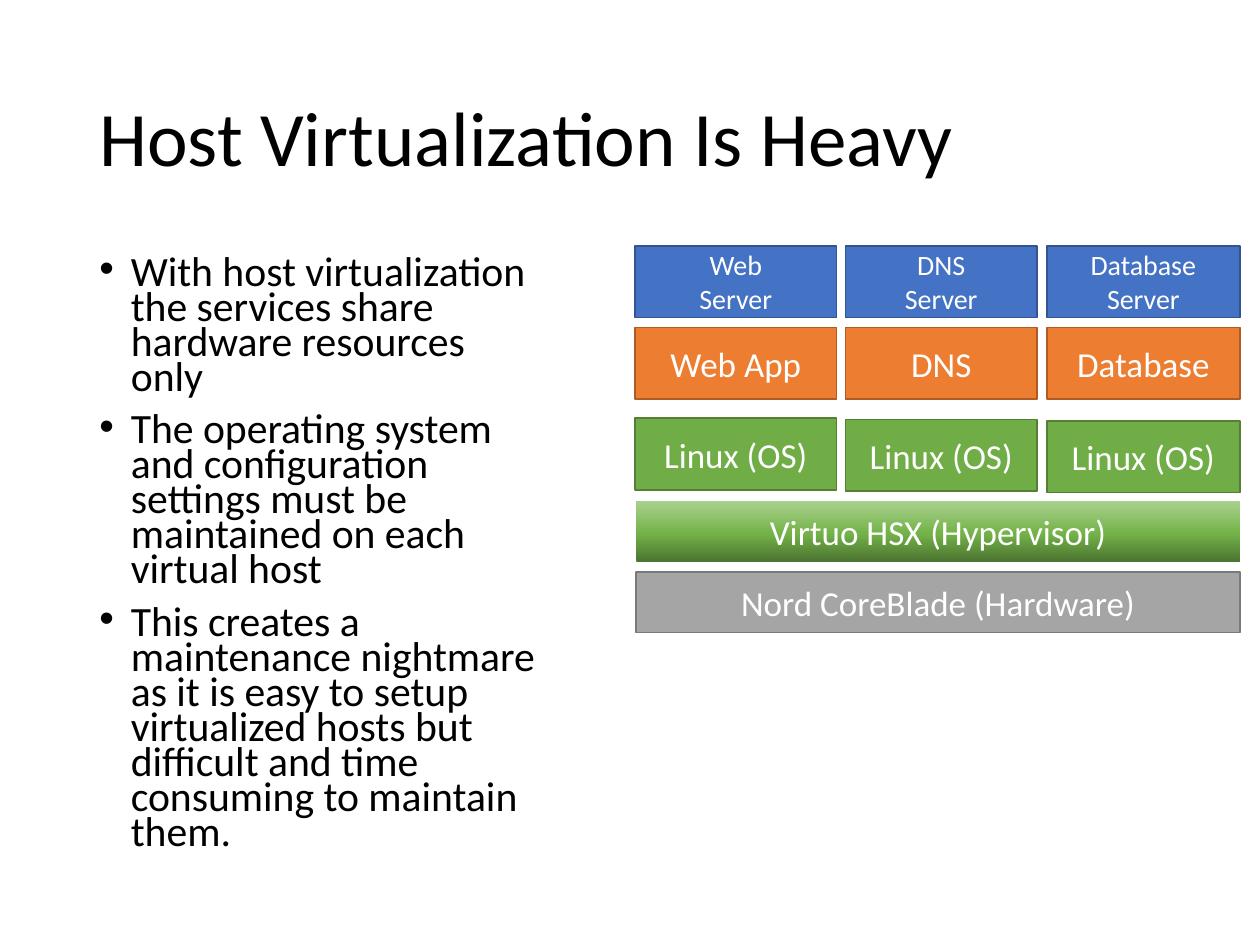
from copy import deepcopy

from lxml.etree import SubElement
from pptx import Presentation
from pptx.dml.color import RGBColor
from pptx.enum.shapes import MSO_SHAPE as Shape
from pptx.enum.text import MSO_ANCHOR as Anchor, PP_ALIGN as Align
from pptx.oxml.ns import qn
from pptx.util import Inches, Pt


def color(text):
    return RGBColor.from_string(text)


class Deck:
    font = "Calibri"
    cell = 0.1
    ink = "000000"
    light = "FFFFFF"

    def __init__(self, wide, high):
        self.file = Presentation()
        self.file.slide_width = self.span(wide)
        self.file.slide_height = self.span(high)
        self.slide = self.file.slides.add_slide(self.file.slide_layouts[6])

    def span(self, count):
        return Inches(count * self.cell)

    def place(self, area):
        return [self.span(part) for part in area]

    def run(self, para, text, size, tone):
        run = para.add_run()
        run.text = text
        run.font.name = self.font
        run.font.size = Pt(size)
        run.font.color.rgb = color(tone)

    def frame(self, area, anchor):
        frame = self.slide.shapes.add_textbox(*self.place(area)).text_frame
        frame.word_wrap = True
        frame.vertical_anchor = anchor
        return frame

    def title(self, area, text):
        para = self.frame(area, Anchor.MIDDLE).paragraphs[0]
        para.line_spacing = 0.9
        self.run(para, text, 44, self.ink)

    def bullets(self, area, items):
        frame = self.frame(area, Anchor.TOP)
        for i, text in enumerate(items):
            para = frame.add_paragraph() if i else frame.paragraphs[0]
            para.line_spacing = 0.7
            para.space_before = Pt(10 if i else 0)
            props = para._p.get_or_add_pPr()
            props.set("marL", str(Inches(0.25)))
            props.set("indent", str(-Inches(0.25)))
            SubElement(props, qn("a:buFont"), typeface="Arial")
            SubElement(props, qn("a:buChar"), char="•")
            self.run(para, text, 23.8, self.ink)

    def block(self, area, lines, size, fill=None, edge=None):
        box = self.slide.shapes.add_shape(Shape.RECTANGLE, *self.place(area))
        box.shadow.inherit = False
        if fill:
            box.fill.solid()
            box.fill.fore_color.rgb = color(fill)
        if edge:
            box.line.color.rgb = color(edge)
            box.line.width = Pt(1)
        else:
            box.line.fill.background()
        frame = box.text_frame
        frame.word_wrap = True
        frame.vertical_anchor = Anchor.MIDDLE
        para = frame.paragraphs[0]
        para.alignment = Align.CENTER
        for i, text in enumerate(lines):
            if i:
                para.add_line_break()
            self.run(para, text, size, self.light)
        return box

    def blend(self, box, stops):
        box.fill.gradient()
        box.fill.gradient_angle = 90
        group = box._element.spPr.find(f".//{qn('a:gsLst')}")
        group.append(deepcopy(group[0]))
        for stop, (spot, tone) in zip(box.fill.gradient_stops, stops):
            stop.position = spot
            stop.color.rgb = color(tone)


def main():
    deck = Deck(100, 75)
    deck.title((6.9, 4, 86.2, 14.5), "Host Virtualization Is Heavy")
    deck.bullets((6.9, 20, 37.1, 49.7), [
        "With host virtualization the services share hardware resources only",
        "The operating system and configuration settings must be maintained on each virtual host",
        "This creates a maintenance nightmare as it is easy to setup virtualized hosts "
        "but difficult and time consuming to maintain them.",
    ])

    cols = [(50.4, 16), (67.1, 15.2), (83.1, 15.3)]
    rows = [
        (19.5, 0, 16, "4472C4", "325491",
         [["Web", "Server"], ["DNS", "Server"], ["Database", "Server"]]),
        (26, 0, 20, "ED7D31", "AF5C24", [["Web App"], ["DNS"], ["Database"]]),
        (33.2, 0.1, 20, "70AD47", "538035", [["Linux (OS)"]] * 3),
    ]
    for top, step, size, fill, edge, labels in rows:
        for i, ((left, wide), lines) in enumerate(zip(cols, labels)):
            deck.block((left, top + i * step, wide, 5.7), lines, size, fill, edge)

    base = deck.block((50.5, 39.8, 47.9, 4.8), ["Virtuo HSX (Hypervisor)"], 20)
    deck.blend(base, [(0, "4B7430"), (0.48, "74B349"), (1, "A9D18E")])
    deck.block((50.5, 45.4, 47.9, 4.8), ["Nord CoreBlade (Hardware)"], 20, "A5A5A5", "7A7A7A")
    deck.file.save("out.pptx")


if __name__ == "__main__":
    main()
